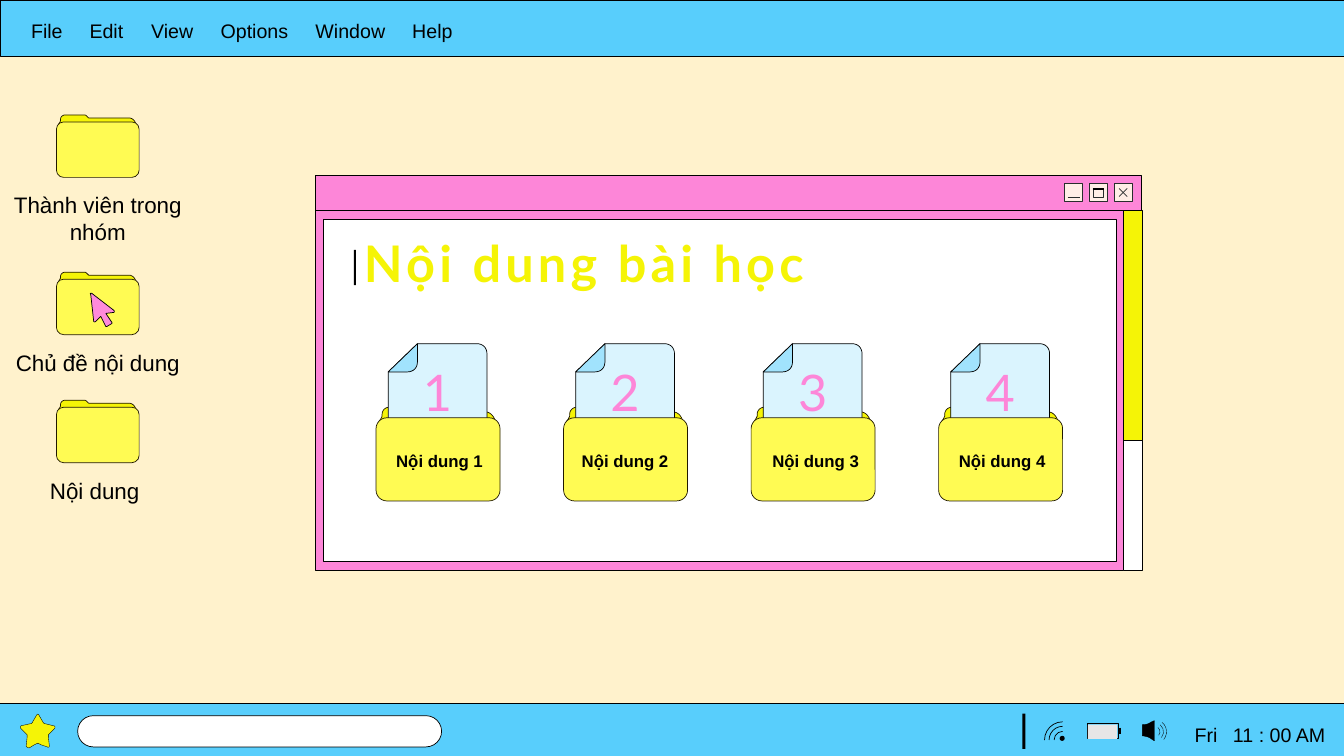
from lxml.etree import SubElement
from pptx import Presentation
from pptx.dml.color import RGBColor
from pptx.enum.shapes import MSO_CONNECTOR, MSO_SHAPE as SHAPE
from pptx.enum.text import MSO_ANCHOR, MSO_AUTO_SIZE, PP_ALIGN as ALIGN
from pptx.oxml.ns import qn
from pptx.util import Inches, Pt

COLORS = {
    "cream": "FFF2CC", "blue": "58CEFC", "pink": "FD86D8", "cursor": "FE8ADA",
    "yellow": "F5F406", "lemon": "FFFB53", "ink": "211900", "black": "000000",
    "white": "FFFFFF", "page": "DAF4FE", "fold": "A1E3FD", "button": "FFEEE6",
    "slate": "292D2D", "battery": "E7E6E6",
}
BODY = {"size": Pt(16), "name": "Arial"}
BAR = {"size": Pt(14), "name": "Arial"}
LABEL = {"size": Pt(12), "name": "Arial", "bold": True}
NUMBER = {"size": Pt(36), "name": "Lato"}
TITLE = {"size": Pt(36), "name": "Lato", "bold": True}

FOLDER_BACK = [
    ("M", .07, 0), ("L", .26, 0), ("C", .27, 0, .28, .01, .29, .02), ("L", .3, .03),
    ("L", .7, .03), ("C", .74, .03, .77, .07, .77, .11), ("L", .77, .51),
    ("C", .77, .55, .74, .58, .7, .58), ("L", .07, .58), ("C", .03, .58, 0, .55, 0, .51),
    ("L", 0, .11), ("C", 0, .1, 0, .09, .01, .08), ("L", .02, .06), ("L", .02, .05),
    ("C", .02, .02, .04, 0, .07, 0)]
PAGE = [
    ("M", 0, .28), ("L", 0, 1.22), ("C", 0, 1.28, .05, 1.32, .1, 1.32), ("L", .88, 1.32),
    ("C", .94, 1.32, .98, 1.28, .98, 1.22), ("L", .98, .1), ("C", .98, .04, .94, 0, .88, 0),
    ("L", .29, 0)]
PAGE_FOLD = [("M", 0, .28), ("L", .19, .28), ("C", .25, .28, .29, .24, .29, .18), ("L", .29, 0)]
CURSOR = [
    ("M", 1.13, 3.08), ("L", .91, 2.91), ("C", .9, 2.91, .89, 2.91, .9, 2.92),
    ("L", .93, 3.19), ("C", .93, 3.19, .94, 3.2, .95, 3.19), ("L", 1, 3.14),
    ("L", 1.05, 3.24), ("L", 1.06, 3.24), ("L", 1.11, 3.21), ("L", 1.11, 3.2),
    ("L", 1.05, 3.11), ("L", 1.13, 3.1), ("C", 1.13, 3.1, 1.14, 3.09, 1.13, 3.08)]
STAR = [
    ("M", .53, .2), ("L", .45, .18), ("C", .44, .18, .44, .18, .43, .17), ("L", .39, .1),
    ("C", .38, .08, .37, .08, .36, .1), ("L", .32, .17), ("C", .31, .18, .31, .18, .3, .18),
    ("L", .21, .2), ("C", .2, .21, .2, .22, .21, .23), ("L", .27, .29),
    ("C", .27, .3, .27, .3, .27, .31), ("L", .26, .4), ("C", .26, .41, .28, .42, .29, .42),
    ("L", .34, .39), ("C", .38, .37, .37, .37, .41, .39), ("L", .47, .41),
    ("C", .48, .42, .49, .41, .49, .4), ("L", .48, .31), ("C", .48, .3, .48, .3, .48, .29),
    ("L", .54, .23), ("C", .55, .22, .55, .2, .53, .2)]
SPEAKER = [
    ("M", .12, .2), ("C", .08, .18, .08, .16, 0, .15), ("L", 0, .04),
    ("C", .07, .04, .08, .01, .12, 0)]


def rgb(color):
    return RGBColor.from_string(COLORS[color])


def paint(shape, fill, line, width):
    shape.shadow.inherit = False
    if fill:
        shape.fill.solid()
        shape.fill.fore_color.rgb = rgb(fill)
    else:
        shape.fill.background()
    if line:
        shape.line.color.rgb = rgb(line)
        shape.line.width = Pt(width)
    else:
        shape.line.fill.background()


def add_preset(slide, kind, box, fill=None, line="black", width=.5, corner=None, turn=0):
    shape = slide.shapes.add_shape(kind, *map(Inches, box))
    paint(shape, fill, line, width)
    if corner is not None:
        shape.adjustments[0] = corner
    shape.rotation = turn


def add_line(slide, start, end, color="black", width=.5):
    line = slide.shapes.add_connector(MSO_CONNECTOR.STRAIGHT, *map(Inches, start + end))
    line.line.color.rgb = rgb(color)
    line.line.width = Pt(width)
    SubElement(line._element.spPr, qn("a:effectLst"))


def add_outline(slide, steps, x, y, fill, line="black", width=.5, scale=1):
    """Draw M, L and C steps from (x, y); each curve becomes short segments."""
    points = []
    for command, *values in steps:
        if command != "C":
            points.append(tuple(values))
            continue
        corners = [points[-1], *zip(values[::2], values[1::2])]
        for t in (i / 8 for i in range(1, 9)):
            weights = ((1 - t) ** 3, 3 * t * (1 - t) ** 2, 3 * t * t * (1 - t), t ** 3)
            points.append(tuple(sum(w * c[axis] for w, c in zip(weights, corners))
                                for axis in (0, 1)))
    placed = [(Inches(x + px * scale), Inches(y + py * scale)) for px, py in points]
    builder = slide.shapes.build_freeform(*placed[0])
    builder.add_line_segments(placed[1:], close=True)
    paint(builder.convert_to_shape(), fill, line, width)


def write(frame, text, style, color="black", align=ALIGN.CENTER, tabs=(), outline=None):
    frame.word_wrap = True
    paragraph = frame.paragraphs[0]
    paragraph.alignment = align
    run = paragraph.add_run()
    run.text = text
    for attribute, value in style.items():
        setattr(run.font, attribute, value)
    run.font.color.rgb = rgb(color)
    if outline:
        properties = run.font._element
        edge = SubElement(properties, qn("a:ln"), w=str(Pt(outline)))
        SubElement(SubElement(edge, qn("a:solidFill")), qn("a:srgbClr"), val=COLORS["black"])
        properties.insert(0, edge)
    if tabs:
        stops = SubElement(paragraph._p.get_or_add_pPr(), qn("a:tabLst"))
        for stop in tabs:
            SubElement(stops, qn("a:tab"), pos=str(Inches(stop)), algn="l")
    return run


def add_text(slide, box, text, style, **options):
    write(slide.shapes.add_textbox(*map(Inches, box)).text_frame, text, style, **options)


def add_folder_back(slide, x, y, scale=1):
    add_outline(slide, FOLDER_BACK, x, y, "yellow", "ink", scale=scale)


def add_folder_front(slide, x, y, scale=1):
    box = (x - .02 * scale, y + .07 * scale, .82 * scale, .55 * scale)
    add_preset(slide, SHAPE.ROUNDED_RECTANGLE, box, "lemon", "ink", corner=.13)


def add_desktop_folder(slide, y, label, height):
    add_text(slide, (0, y + .71, 1.94, height), label, BODY)
    add_folder_back(slide, .58, y)
    add_folder_front(slide, .58, y)


def add_lesson_folder(slide, number, x, label_x):
    add_folder_back(slide, x, 4.04, 1.5)
    add_outline(slide, PAGE, x + .09, 3.41, "page")
    add_outline(slide, PAGE_FOLD, x + .09, 3.41, "fold")
    add_text(slide, (x + .09, 3.53, .98, .71), str(number), NUMBER, color="pink", outline=.5)
    add_folder_front(slide, x, 4.04, 1.5)
    add_text(slide, (label_x, 4.42, 1.2, .3), f"Nội dung {number}", LABEL)


def add_window(slide):
    add_preset(slide, SHAPE.RECTANGLE, (3.13, 1.74, 8.19, 3.92), "pink")
    add_line(slide, (3.13, 2.09), (11.32, 2.09))
    add_line(slide, (11.14, 5.54), (11.14, 2.09))
    add_preset(slide, SHAPE.RECTANGLE, (3.21, 2.18, 7.86, 3.39), "white")
    add_preset(slide, SHAPE.RECTANGLE, (11.14, 2.09, .19, 2.28), "yellow")
    add_preset(slide, SHAPE.RECTANGLE, (11.14, 4.37, .19, 1.29), "white")
    for x in (10.56, 10.8, 11.05):
        add_preset(slide, SHAPE.RECTANGLE, (x, 1.82, .18, .18), "button", "slate")
    add_line(slide, (10.59, 1.96), (10.71, 1.96), "slate")
    add_preset(slide, SHAPE.RECTANGLE, (10.84, 1.87, .1, .09), None, "slate")
    add_preset(slide, SHAPE.RECTANGLE, (10.84, 1.87, .1, .01), "slate")
    add_line(slide, (11.1, 1.87), (11.18, 1.95), "slate")
    add_line(slide, (11.18, 1.87), (11.1, 1.95), "slate")


def add_arcs(slide, center_x, center_y, sizes, turn, width):
    for size in sizes:
        box = (center_x - size / 2, center_y - size / 2, size, size)
        add_preset(slide, SHAPE.ARC, box, width=width, turn=turn)


def add_taskbar(slide):
    add_preset(slide, SHAPE.RECTANGLE, (-.01, 6.98, 13.36, .56), "blue")
    add_outline(slide, STAR, 0, 7, "yellow", width=.25)
    add_preset(slide, SHAPE.ROUNDED_RECTANGLE, (.77, 7.1, 3.61, .31), "white", corner=.5)
    add_text(slide, (11.75, 7.12, 1.58, .34), "Fri\t11 : 00 AM", BAR, align=ALIGN.LEFT, tabs=(.38,))
    add_arcs(slide, 10.54, 7.34, (.17, .27, .36), 269.6, .5)
    add_preset(slide, SHAPE.OVAL, (10.51, 7.3, .05, .05), "black", None)
    add_outline(slide, SPEAKER, 11.33, 7.15, "black", width=.25)
    add_arcs(slide, 11.45, 7.26, (.11, .18, .24), 39.5, .25)
    add_preset(slide, SHAPE.RECTANGLE, (10.78, 7.18, .31, .15))
    add_preset(slide, SHAPE.RECTANGLE, (10.79, 7.19, .29, .14), "battery", None)
    add_line(slide, (11.11, 7.22), (11.11, 7.28), width=1.5)
    add_preset(slide, SHAPE.RECTANGLE, (10.14, 7.08, .03, .35), "black", None)


def place_title(slide, text):
    """Format the title placeholder and bring it in front of the window."""
    title = slide.shapes.title
    title.left, title.top, title.width, title.height = map(Inches, (3.51, 2.25, 6.55, .71))
    frame = title.text_frame
    frame.auto_size = MSO_AUTO_SIZE.NONE
    frame.vertical_anchor = MSO_ANCHOR.TOP
    run = write(frame, text, TITLE, color="yellow", align=ALIGN.LEFT, outline=.25)
    run.font._element.set("spc", "300")
    slide.shapes._spTree.append(title._element)


def main():
    deck = Presentation()
    deck.slide_width, deck.slide_height = Inches(13.33), Inches(7.5)
    slide = deck.slides.add_slide(deck.slide_layouts[5])
    slide.background.fill.solid()
    slide.background.fill.fore_color.rgb = rgb("cream")

    for y, label, height in ((1.14, "Thành viên trong nhóm", .64),
                             (2.7, "Chủ đề nội dung", .37), (3.97, "Nội dung ", .37)):
        add_desktop_folder(slide, y, label, height)
    add_window(slide)
    add_preset(slide, SHAPE.RECTANGLE, (0, 0, 13.33, .56), "blue")
    add_text(slide, (.21, .14, 4.7, .34), "File\tEdit\tView\tOptions\tWindow\tHelp", BAR,
             align=ALIGN.LEFT, tabs=(.58, 1.19, 1.88, 2.82, 3.78))
    add_outline(slide, CURSOR, 0, 0, "cursor")
    add_taskbar(slide)
    place_title(slide, "Nội dung bài học")
    add_preset(slide, SHAPE.RECTANGLE, (3.51, 2.48, .02, .35), "black", None)
    for index, label_shift in enumerate((0, -.02, .01, 0)):
        x = 3.76 + 1.86 * index
        add_lesson_folder(slide, index + 1, x, x + label_shift)
    deck.save("out.pptx")


if __name__ == "__main__":
    main()
